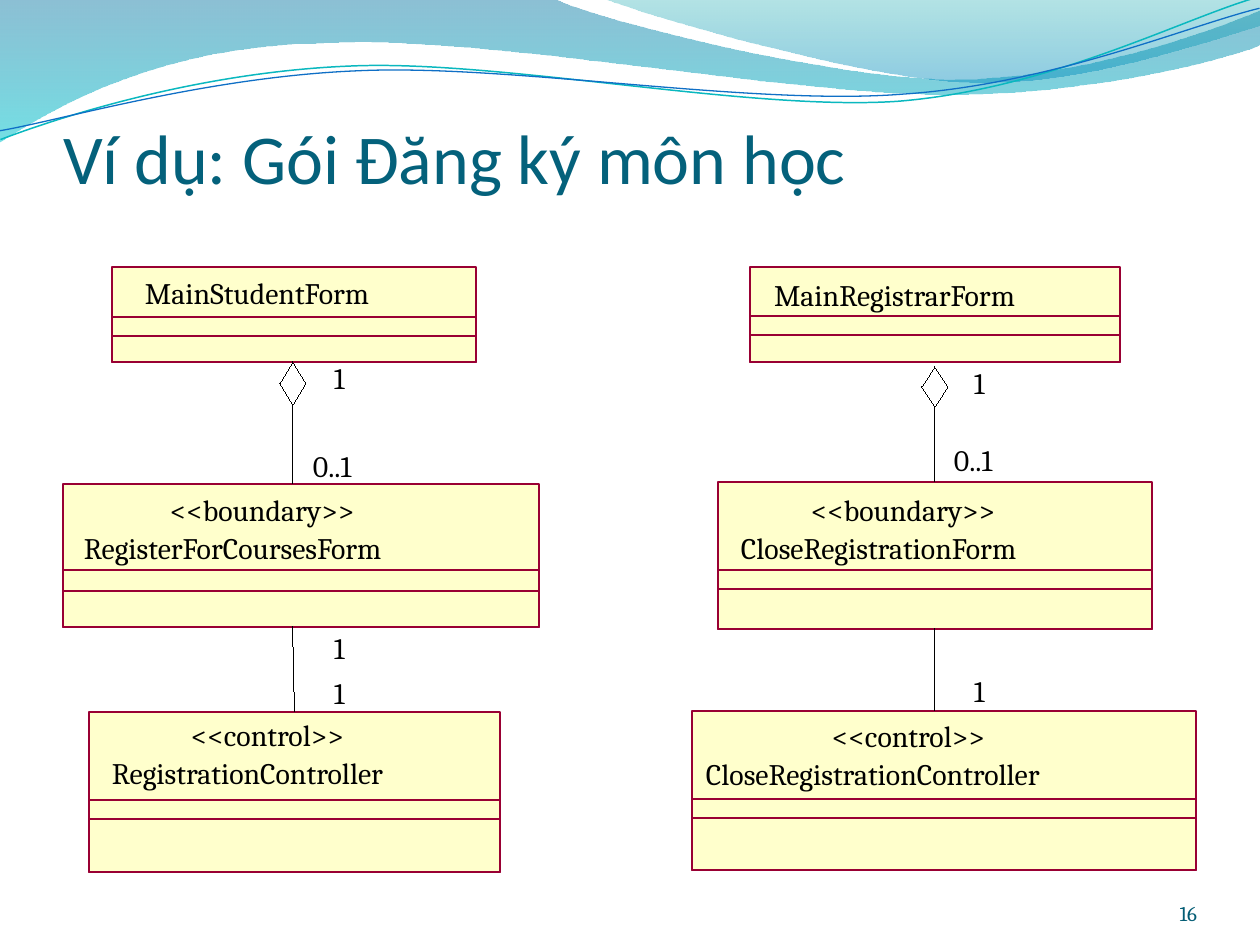
from lxml.etree import SubElement
from pptx import Presentation
from pptx.dml.color import RGBColor
from pptx.enum.shapes import MSO_CONNECTOR, MSO_SHAPE
from pptx.enum.text import MSO_ANCHOR, MSO_AUTO_SIZE, PP_ALIGN
from pptx.oxml.ns import qn
from pptx.util import Emu, Pt

PX = 914400 // 126
HAIRLINE = Emu(1)
BLACK = RGBColor(0x00, 0x00, 0x00)
CLASS_FILL = RGBColor(0xFF, 0xFF, 0xCC)
CLASS_BORDER = RGBColor(0x99, 0x00, 0x33)
TITLE_COLOR = RGBColor(0x04, 0x61, 0x7B)
NUMBER_COLOR = RGBColor(0x04, 0x5D, 0x75)
DEEP_BLUE = RGBColor(0x00, 0x74, 0xA1)
CYAN = RGBColor(0x00, 0xC6, 0xCF)
TEAL = RGBColor(0x00, 0xA1, 0xA9)
SEA_BLUE = RGBColor(0x00, 0x8B, 0xBF)
TEAL_LINE = RGBColor(0x0A, 0xB8, 0xBF)
BLUE_LINE = RGBColor(0x0F, 0x6F, 0xC6)
TOP, BOTTOM = 0, 2
LINE_HEIGHT = 38
WAVE_ROTATION = 357.3


def px(*lengths):
    return [Emu(length * PX) for length in lengths]


def draw_outline(slide, start, segments, close):
    """Draw segments of one point (straight) or three points (Bezier)."""
    builder = slide.shapes.build_freeform(*start, scale=PX)
    builder.add_line_segments([point for segment in segments for point in segment], close=close)
    outline = builder.convert_to_shape()
    outline.shadow.inherit = False
    steps = iter(list(outline._element.iter(qn("a:lnTo"))))
    for segment in segments:
        first, *others = [next(steps) for _ in segment]
        if others:
            curve = first.makeelement(qn("a:cubicBezTo"))
            first.addprevious(curve)
            for step in (first, *others):
                curve.append(step[0])
                step.getparent().remove(step)
    return outline


def add_band(slide, start, segments, stops):
    band = draw_outline(slide, start, segments, True)
    band.line.fill.background()
    band.fill.gradient()
    band.fill.gradient_angle = 270
    for stop, (color, _) in zip(band.fill.gradient_stops, stops):
        stop.color.rgb = color
    colors = band._element.spPr.iter(qn("a:srgbClr"))
    for color_element, (_, opacity) in zip(colors, stops):
        SubElement(color_element, qn("a:alpha")).set("val", str(opacity * 1000))


def add_wave_line(slide, start, segments, color, width):
    wave = draw_outline(slide, start, segments, False)
    wave.rotation = WAVE_ROTATION
    wave.fill.background()
    wave.line.color.rgb = color
    wave.line.width = Pt(width)


def add_header_waves(slide):
    add_band(slide, (0, 0), [
        [(554, -1)],
        [(600, 21), (837, 79), (955, 79)],
        [(1075, 79), (1207, 33), (1260, 11)],
        [(1261, 45)],
        [(1239, 55), (1096, 96), (940, 94)],
        [(784, 94), (481, 35), (324, 43)],
        [(163, 45), (58, 105), (-1, 142)],
    ], [(DEEP_BLUE, 45), (CYAN, 55)])
    add_band(slide, (604, -1), [
        [(641, 14), (859, 78), (969, 82)],
        [(1079, 87), (1211, 40), (1260, 26)],
        [(1260, 0)],
    ], [(TEAL, 30), (SEA_BLUE, 45)])
    add_wave_line(slide, (-2, 110), [
        [(59, 90), (199, 52), (350, 53)],
        [(499, 53), (745, 117), (896, 114)],
        [(1049, 109), (1184, 45), (1260, 27)],
    ], TEAL_LINE, 0.85)
    add_wave_line(slide, (-2, 101), [
        [(57, 94), (207, 57), (358, 58)],
        [(509, 58), (750, 112), (902, 107)],
        [(1052, 104), (1190, 52), (1262, 38)],
    ], BLUE_LINE, 0.75)


def write(frame, text, font_name, size, color):
    frame.margin_left = frame.margin_right = frame.margin_top = frame.margin_bottom = 0
    frame.word_wrap = True
    frame.auto_size = MSO_AUTO_SIZE.NONE
    frame.text = text
    font = frame.paragraphs[0].runs[0].font
    font.name, font.size, font.color.rgb = font_name, Pt(size), color


def add_label(slide, text, left, top, width):
    label = slide.shapes.add_textbox(*px(left, top, width, LINE_HEIGHT))
    write(label.text_frame, text, "Cambria", 17, BLACK)


def add_class(slide, box, dividers, *texts):
    """Draw a class; dividers and text places are offsets inside its box."""
    left, top, width, height = box
    compartments = []
    for offset in (0, *dividers):
        compartment = slide.shapes.add_shape(
            MSO_SHAPE.RECTANGLE, *px(left, top + offset, width, height - offset))
        compartment.shadow.inherit = False
        compartment.fill.background()
        compartment.line.color.rgb = CLASS_BORDER
        compartment.line.width = Pt(1)
        compartments.append(compartment)
    compartments[0].fill.solid()
    compartments[0].fill.fore_color.rgb = CLASS_FILL
    for text, x, y, text_width in texts:
        add_label(slide, text, left + x, top + y, text_width)
    return compartments[0]


def add_diamond(slide, left, top, width, height):
    diamond = slide.shapes.add_shape(MSO_SHAPE.DIAMOND, *px(left, top, width, height))
    diamond.shadow.inherit = False
    diamond.fill.background()
    diamond.line.color.rgb = BLACK
    diamond.line.width = HAIRLINE
    return diamond


def add_link(slide, x, top, joint, bottom, upper=None, lower=None):
    """Draw an association as two halves that meet at the joint."""
    halves = []
    for end in (top, bottom):
        half = slide.shapes.add_connector(MSO_CONNECTOR.STRAIGHT, *px(x, joint, x, end))
        half.line.color.rgb = BLACK
        half.line.width = HAIRLINE
        SubElement(half._element.spPr, qn("a:effectLst"))
        halves.append(half)
    if upper is not None:
        halves[0].end_connect(upper, BOTTOM)
    if lower is not None:
        halves[1].end_connect(lower, TOP)


def add_multiplicities(slide, left, top, places):
    for text, x, y in places:
        add_label(slide, text, left + x, top + y, 22 * len(text))


def add_student_column(slide, left, top):
    add_class(slide, (left + 49, top, 364, 95), (50, 69), ("MainStudentForm", 33, 8, 311))
    add_class(slide, (left, top + 217, 476, 143), (86, 107),
              ("RegisterForCoursesForm", 21, 46, 441), ("<<boundary>>", 107, 8, 254))
    controller = add_class(
        slide, (left + 26, top + 445, 411, 160), (88, 107),
        ("RegistrationController", 23, 43, 378), ("<<control>>", 102, 5, 208))
    diamond = add_diamond(slide, left + 217, top + 95, 26, 43)
    add_link(slide, left + 230, top + 138, top + 175, top + 217, upper=diamond)
    add_link(slide, left + 230, top + 360, top + 378, top + 445, lower=controller)
    add_multiplicities(slide, left, top, (
        ("1", 271, 93), ("0..1", 250, 181), ("1", 271, 363), ("1", 271, 408)))


def add_registrar_column(slide, left, top):
    add_class(slide, (left + 58, top, 370, 95), (49, 68), ("MainRegistrarForm", 24, 10, 334))
    form = add_class(
        slide, (left + 26, top + 215, 434, 147), (88, 107),
        ("CloseRegistrationForm", 23, 48, 399), ("<<boundary>>", 93, 10, 254))
    add_class(slide, (left, top + 444, 504, 159), (88, 107),
              ("CloseRegistrationController", 14, 45, 478), ("<<control>>", 140, 7, 208))
    diamond = add_diamond(slide, left + 230, top + 100, 26, 40)
    add_link(slide, left + 243, top + 140, top + 190, top + 215, upper=diamond, lower=form)
    add_link(slide, left + 243, top + 362, top + 379, top + 444, upper=form)
    add_multiplicities(slide, left, top, (("1", 282, 98), ("0..1", 262, 175), ("1", 282, 406)))


def add_title(slide, box):
    title = slide.shapes.title
    title.left, title.top, title.width, title.height = px(*box)
    frame = title.text_frame
    write(frame, "Ví dụ: Gói Đăng ký môn học", "Calibri", 40, TITLE_COLOR)
    frame.margin_top = px(6)[0]
    frame.vertical_anchor = MSO_ANCHOR.BOTTOM
    frame.paragraphs[0].alignment = PP_ALIGN.LEFT


def add_slide_number(slide, box):
    frame = slide.shapes.add_textbox(*px(*box)).text_frame
    write(frame, "16", "Cambria", 12, NUMBER_COLOR)
    frame.vertical_anchor = MSO_ANCHOR.BOTTOM
    frame.paragraphs[0].alignment = PP_ALIGN.RIGHT


def main():
    deck = Presentation()
    deck.slide_width, deck.slide_height = px(1260, 945)
    slide = deck.slides.add_slide(deck.slide_layouts[5])
    add_header_waves(slide)
    add_title(slide, (63, 97, 1134, 102))
    add_registrar_column(slide, 692, 267)
    add_student_column(slide, 63, 267)
    add_slide_number(slide, (1092, 876, 105, 50))
    deck.save("out.pptx")


if __name__ == "__main__":
    main()
